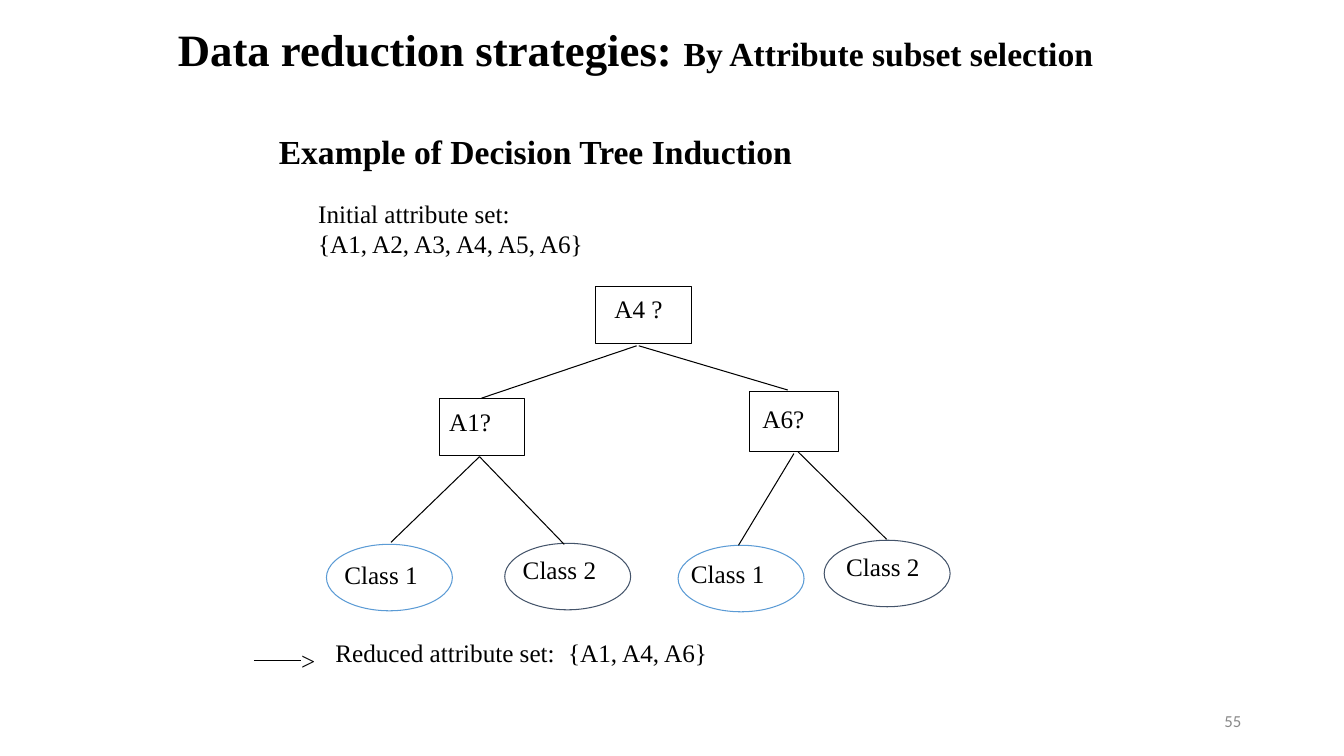
import pptx
import pptx.dml.color
import pptx.enum.shapes
import pptx.enum.text
import pptx.oxml
import pptx.slide
import pptx.util
from dataclasses import dataclass
from pptx.oxml import ns

Pt = pptx.util.Pt
Shape = pptx.enum.shapes.MSO_SHAPE
Align = pptx.enum.text.PP_ALIGN
Anchor = pptx.enum.text.MSO_ANCHOR


@dataclass(frozen=True)
class Theme:
    serif: str = "Times New Roman"
    sans: str = "Calibri"
    ink: str = "000000"
    grey: str = "898989"
    class_1: str = "5B9BD5"
    class_2: str = "44546A"
    title: float = 32
    heading: float = 24
    body: float = 18
    number: float = 12
    line: float = 0.75


THEME = Theme()


@dataclass(frozen=True)
class Span:
    text: str
    size: float = THEME.body
    bold: bool = False
    font: str = THEME.serif
    color: str = THEME.ink


@dataclass(frozen=True)
class Caption:
    left: float
    top: float
    width: float
    height: float
    lines: tuple[tuple[Span, ...], ...]
    wrap: bool = True
    align: Align = Align.LEFT
    anchor: Anchor = Anchor.TOP
    tab_stop: float | None = None


@dataclass(frozen=True)
class Node:
    label: str
    left: float
    top: float
    width: float
    height: float
    label_left: float
    label_top: float
    kind: Shape = Shape.RECTANGLE
    color: str = THEME.ink


def leaf(number: int, left: float, top: float, label_left: float, label_top: float) -> Node:
    color = THEME.class_1 if number == 1 else THEME.class_2
    return Node(f"Class {number}", left, top, 90, 47.5, label_left, label_top, Shape.OVAL, color)


@dataclass(frozen=True)
class Branch:
    x1: float
    y1: float
    x2: float
    y2: float


CAPTIONS = (
    Caption(120, 12.2, 720, 66, ((
        Span("Data reduction strategies: ", THEME.title, True),
        Span("By Attribute subset selection", THEME.heading, True)),)),
    Caption(192.2, 90, 606, 36, ((
        Span("Example of Decision Tree Induction", THEME.heading, True),),)),
    Caption(220.3, 138.2, 208.8, 50.4, (
        (Span("Initial attribute set:"),),
        (Span("{A1, A2, A3, A4, A5, A6}"),)), wrap=False),
    Caption(208.1, 457.2, 24.5, 28.8, ((Span(">"),),), wrap=False),
    Caption(232.6, 451.4, 281.5, 28.8, ((
        Span("Reduced attribute set:\t"), Span("{A1, A4, A6}")),), tab_stop=166.3),
    Caption(678.2, 500.4, 216, 28.8, ((
        Span("55", THEME.number, font=THEME.sans, color=THEME.grey),),),
        align=Align.RIGHT, anchor=Anchor.MIDDLE),
)

NODES = (
    Node("A4 ?", 425.5, 204.5, 68.4, 41, 432, 205.9),
    Node("A1?", 313.9, 284.4, 61.2, 41, 313.9, 286.6),
    Node("A6?", 535.7, 279.4, 63.4, 43.2, 537.8, 284.4),
    leaf(1, 233.3, 388.8, 239, 396),
    leaf(2, 360.7, 388.1, 366.5, 392.4),
    leaf(1, 484.6, 389.5, 486.7, 395.3),
    leaf(2, 589, 385.9, 597.6, 390.2),
)

BRANCHES = (
    Branch(455, 247, 344.2, 284.4),
    Branch(456.5, 247, 563, 278.6),
    Branch(342.7, 326.2, 279.4, 387.4),
    Branch(342.7, 326.2, 403.2, 388.8),
    Branch(567.4, 324, 527.8, 389.5),
    Branch(570.2, 322.6, 633.6, 385.2),
)

ARROW_SHAFT = Branch(181.4, 471.6, 215.3, 471.6)


def rgb(color: str) -> pptx.dml.color.RGBColor:
    return pptx.dml.color.RGBColor.from_string(color)


def draw_caption(page: pptx.slide.Slide, caption: Caption) -> None:
    box = page.shapes.add_textbox(
        Pt(caption.left), Pt(caption.top), Pt(caption.width), Pt(caption.height))
    frame = box.text_frame
    frame.word_wrap = caption.wrap
    frame.vertical_anchor = caption.anchor
    for index, line in enumerate(caption.lines):
        para = frame.add_paragraph() if index else frame.paragraphs[0]
        para.alignment = caption.align
        if caption.tab_stop is not None:
            tabs = pptx.oxml.parse_xml(
                f'<a:tabLst {ns.nsdecls("a")}>'
                f'<a:tab pos="{Pt(caption.tab_stop)}" algn="l"/></a:tabLst>')
            para._p.get_or_add_pPr().append(tabs)
        for span in line:
            run = para.add_run()
            run.text = span.text
            run.font.name = span.font
            run.font.size = Pt(span.size)
            run.font.bold = span.bold
            run.font.color.rgb = rgb(span.color)


def draw_node(page: pptx.slide.Slide, node: Node) -> None:
    outline = page.shapes.add_shape(
        node.kind, Pt(node.left), Pt(node.top), Pt(node.width), Pt(node.height))
    outline.shadow.inherit = False
    outline.fill.background()
    outline.line.color.rgb = rgb(node.color)
    outline.line.width = Pt(THEME.line)
    draw_caption(page, Caption(
        node.label_left, node.label_top, 68, 28.8, ((Span(node.label),),), wrap=False))


def draw_branch(page: pptx.slide.Slide, branch: Branch) -> None:
    connector = page.shapes.add_connector(
        pptx.enum.shapes.MSO_CONNECTOR.STRAIGHT,
        Pt(branch.x1), Pt(branch.y1), Pt(branch.x2), Pt(branch.y2))
    connector.line.color.rgb = rgb(THEME.ink)
    connector.line.width = Pt(THEME.line)
    connector._element.spPr.append(
        pptx.oxml.parse_xml(f'<a:effectLst {ns.nsdecls("a")}/>'))


def main() -> None:
    deck = pptx.Presentation()
    deck.slide_width, deck.slide_height = Pt(960.48), Pt(540)
    page = deck.slides.add_slide(deck.slide_layouts[6])

    # Decision tree
    for node in NODES:
        draw_node(page, node)
    for branch in BRANCHES:
        draw_branch(page, branch)

    # Arrow shaft beside the result
    draw_branch(page, ARROW_SHAFT)

    # Title, attribute sets, arrow tip and page number
    for caption in CAPTIONS:
        draw_caption(page, caption)

    deck.save("out.pptx")


if __name__ == "__main__":
    main()
